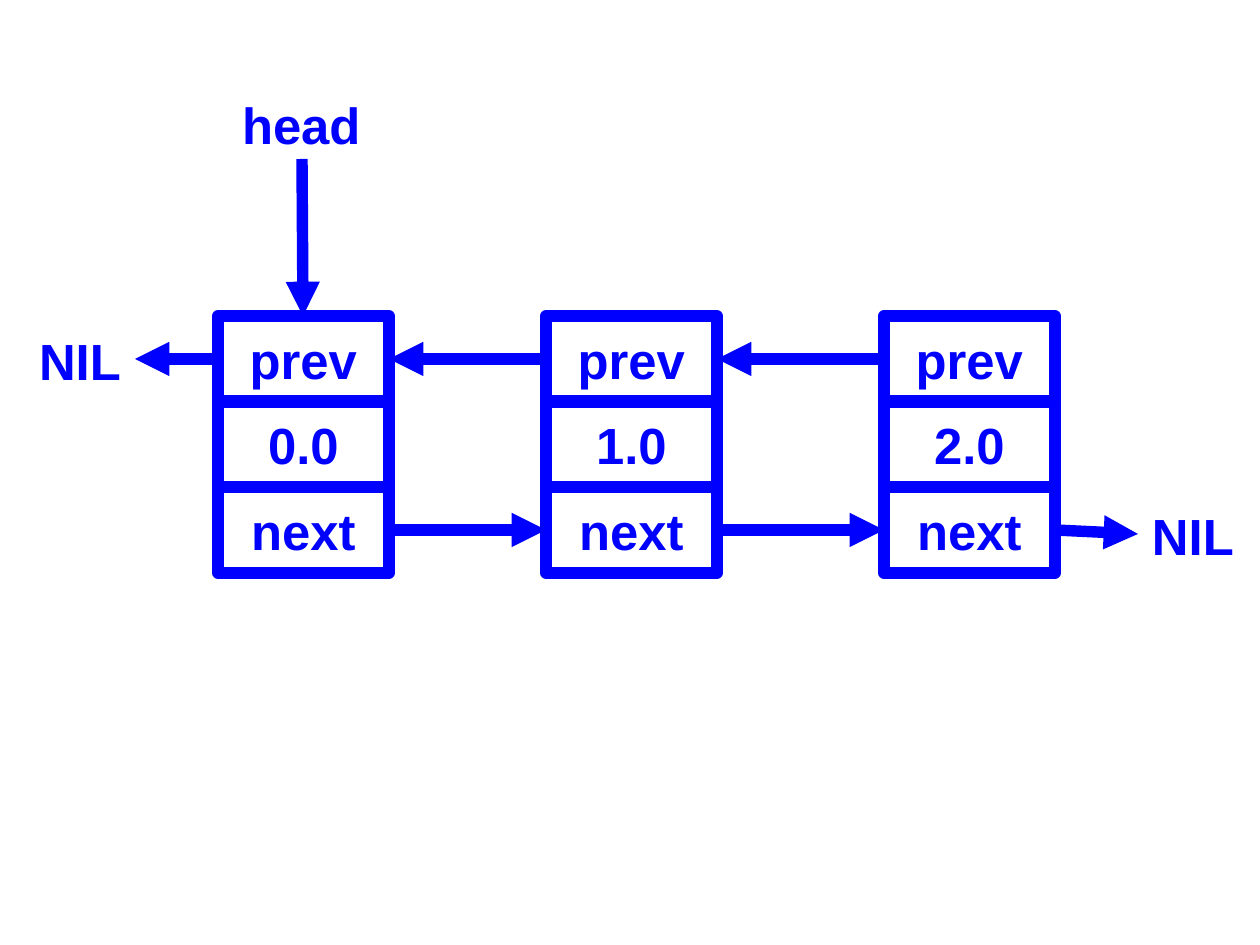
from lxml import etree
from pptx import Presentation
from pptx import util as u
from pptx.dml.color import RGBColor
from pptx.enum import shapes, text
from pptx.oxml import ns

BLUE = RGBColor(0x00, 0x00, 0xFF)
WHITE = RGBColor(0xFF, 0xFF, 0xFF)
PX = 8000  # EMU, 1260 px across 28 cm
LINE_WIDTH = u.Pt(7.2)
FONT = {"name": "Arial", "size": u.Pt(32), "bold": True}

# Grid of the list nodes
NODE_LEFTS = (218, 546, 884)
NODE_TOP = 316
NODE_W, NODE_H = 171, 257
CELL_H = 86
PREV_Y, NEXT_Y = 359, 530


def px(*lengths):
    return [u.Emu(n * PX) for n in lengths]


def set_text(shape, words, margin_x, margin_y, **frame_format):
    tf = shape.text_frame
    left, top = px(margin_x, margin_y)
    frame_format.update(margin_left=left, margin_right=left,
                        margin_top=top, margin_bottom=top)
    for name, value in frame_format.items():
        setattr(tf, name, value)
    p = tf.paragraphs[0]
    r = p.add_run()
    r.text = words
    for name, value in FONT.items():
        setattr(r.font, name, value)
    r.font.color.rgb = BLUE
    return p


def set_line(line):
    line.color.rgb = BLUE
    line.width = LINE_WIDTH
    ln = line._get_or_add_ln()
    etree.SubElement(ln, ns.qn("a:round"))
    return ln


def add_cell(s, words, x, y):
    sp = s.shapes.add_shape(shapes.MSO_SHAPE.RECTANGLE,
                            *px(x, y, NODE_W, CELL_H))
    sp.shadow.inherit = False
    sp.fill.background()
    set_line(sp.line)
    p = set_text(sp, words, 17, 11, vertical_anchor=text.MSO_ANCHOR.MIDDLE)
    p.alignment = text.PP_ALIGN.CENTER


def add_node(s, value, x):
    for row, words in enumerate(("prev", value, "next")):
        add_cell(s, words, x, NODE_TOP + row * NODE_H // 3)


def add_label(s, words, x, y, width):
    sp = s.shapes.add_textbox(*px(x, y, width, 73))
    set_text(sp, words, 14, 8, word_wrap=False,
             auto_size=text.MSO_AUTO_SIZE.SHAPE_TO_FIT_TEXT)


def add_arrow(s, x1, y1, x2, y2):
    c = s.shapes.add_connector(shapes.MSO_CONNECTOR.STRAIGHT,
                               *px(x1, y1, x2, y2))
    ln = set_line(c.line)
    etree.SubElement(ln, ns.qn("a:tailEnd"), type="triangle")
    etree.SubElement(ln.getparent(), ns.qn("a:effectLst"))


def main():
    prs = Presentation()
    prs.slide_width, prs.slide_height = px(1260, 945)
    s = prs.slides.add_slide(prs.slide_layouts[6])
    s.background.fill.solid()
    s.background.fill.fore_color.rgb = WHITE

    # Nodes
    for i, x in enumerate(NODE_LEFTS):
        add_node(s, f"{i}.0", x)

    # Links between neighbours
    for left, right in zip(NODE_LEFTS, NODE_LEFTS[1:]):
        add_arrow(s, right, PREV_Y, left + NODE_W, PREV_Y)
        add_arrow(s, left + NODE_W, NEXT_Y, right, NEXT_Y)

    # Ends of the list
    add_label(s, "NIL", 25, 322, 111)
    add_arrow(s, NODE_LEFTS[0], PREV_Y, 135, PREV_Y)
    add_label(s, "NIL", 1138, 497, 111)
    add_arrow(s, NODE_LEFTS[-1] + NODE_W, NEXT_Y, 1138, NEXT_Y + 4)

    # Head pointer
    add_label(s, "head", 228, 86, 148)
    add_arrow(s, 302, 159, NODE_LEFTS[0] + NODE_W // 2, NODE_TOP)

    prs.save("out.pptx")


if __name__ == "__main__":
    main()
